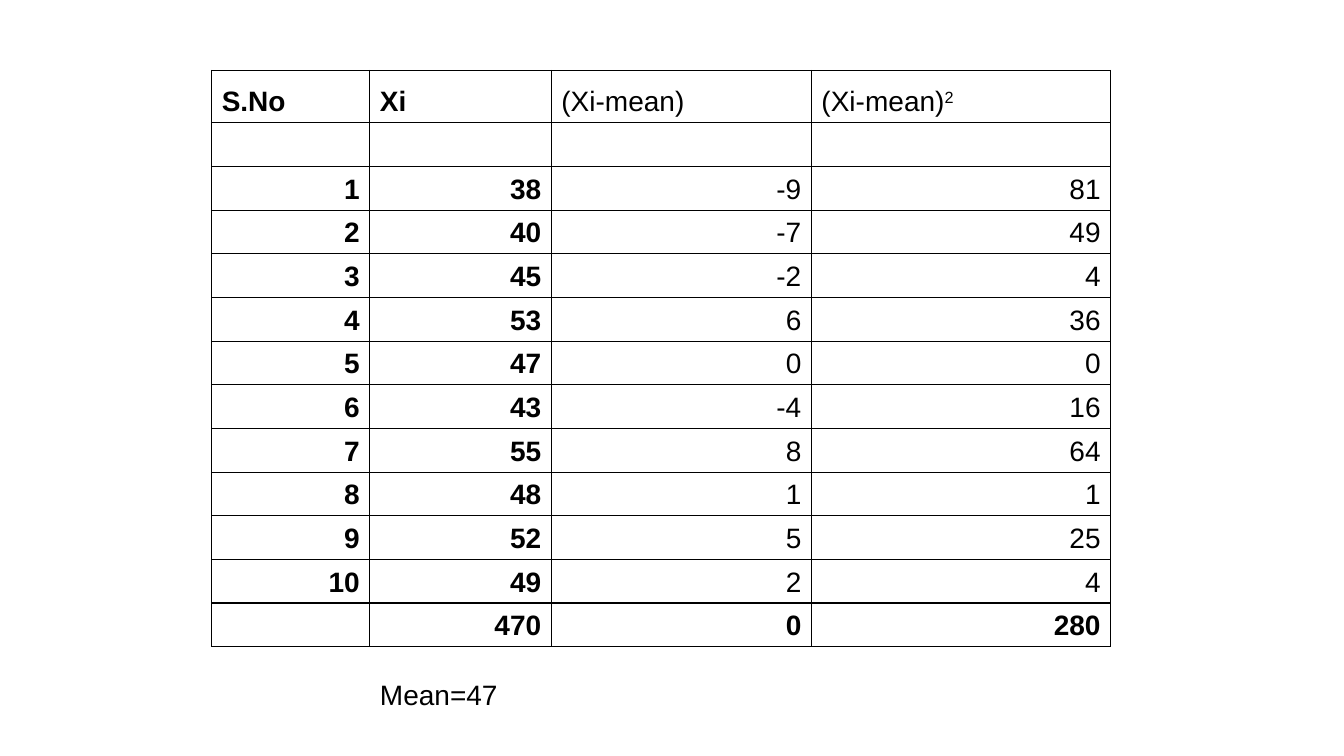
from pptx import Presentation
from pptx.dml.color import RGBColor
from pptx.enum import text as t
from pptx.oxml import parse_xml
from pptx.oxml.ns import nsdecls
from pptx.util import Pt

THEME = {
    "ink": "000000",
    "font": {"name": "Arial", "size": Pt(20)},
    "cell": {"margin_left": Pt(7.2), "margin_right": Pt(7.2),
             "margin_top": Pt(3.6), "margin_bottom": Pt(3.6),
             "vertical_anchor": t.MSO_ANCHOR.BOTTOM},
    "hanging": Pt(27),
    "border": Pt(1),
    "plain_table": "{2D5ABB26-0587-4C30-8999-92F81FD0307C}",
}


def set_borders(cell, visible):
    for side in "LRTB":
        paint = (f'<a:solidFill><a:srgbClr val="{THEME["ink"]}"/></a:solidFill>'
                 if side in visible else "<a:noFill/>")
        cell._tc.get_or_add_tcPr().append(parse_xml(
            f'<a:ln{side} {nsdecls("a")} w="{THEME["border"]}">{paint}</a:ln{side}>'))


def write(cell, value, bold, align, superscript=""):
    p = cell.text_frame.paragraphs[0]
    p.alignment = align
    pPr = p._p.get_or_add_pPr()
    pPr.set("marL", str(THEME["hanging"]))
    pPr.set("indent", str(-THEME["hanging"]))
    for part in filter(None, (value, superscript)):
        r = p.add_run()
        r.text = part
        for name, setting in THEME["font"].items():
            setattr(r.font, name, setting)
        r.font.bold = bold
        r.font.color.rgb = RGBColor.from_string(THEME["ink"])
    if superscript:
        r._r.get_or_add_rPr().set("baseline", "30000")


prs = Presentation()
prs.slide_width, prs.slide_height = Pt(960), Pt(540)
s = prs.slides.add_slide(prs.slide_layouts[6])

# Deviations from the mean, with their totals
scores = [38, 40, 45, 53, 47, 43, 55, 48, 52, 49]
mean = 47
records = [(n, x, x - mean, (x - mean) ** 2) for n, x in enumerate(scores, 1)]
totals = ("", sum(scores), 0, 280)

# Table grid
widths = [113, 129.6, 185.8, 213.8]
heights = [37.4] + [31.2] * 12 + [49.7]
last = len(heights) - 1
table = s.shapes.add_table(len(heights), len(widths), Pt(151.2), Pt(50.4),
                           Pt(sum(widths)), Pt(sum(heights))).table
table.first_row = table.horz_banding = False
table._tbl.tblPr[0].text = THEME["plain_table"]
for col, width in zip(table.columns, widths):
    col.width = Pt(width)
for row, height in zip(table.rows, heights):
    row.height = Pt(height)

# Cell format: full grid, open below the totals
for i, row in enumerate(table.rows):
    for cell in row.cells:
        for name, setting in THEME["cell"].items():
            setattr(cell, name, setting)
        set_borders(cell, "T" if i == last else "LRTB")
        cell.fill.background()

# Headings
headings = [("S.No", ""), ("Xi", ""), ("(Xi-mean)", ""), ("(Xi-mean)", "2")]
for j, (heading, power) in enumerate(headings):
    write(table.cell(0, j), heading, j < 2, t.PP_ALIGN.LEFT, power)

# Scores and totals
for i, record in enumerate(records + [totals], 2):
    for j, value in enumerate(record):
        if value != "":
            write(table.cell(i, j), str(value), j < 2 or record is totals,
                  t.PP_ALIGN.RIGHT)

# Mean
table.cell(last, 1).merge(table.cell(last, 2))
write(table.cell(last, 1), f"Mean={mean}", False, t.PP_ALIGN.LEFT)

prs.save("out.pptx")
